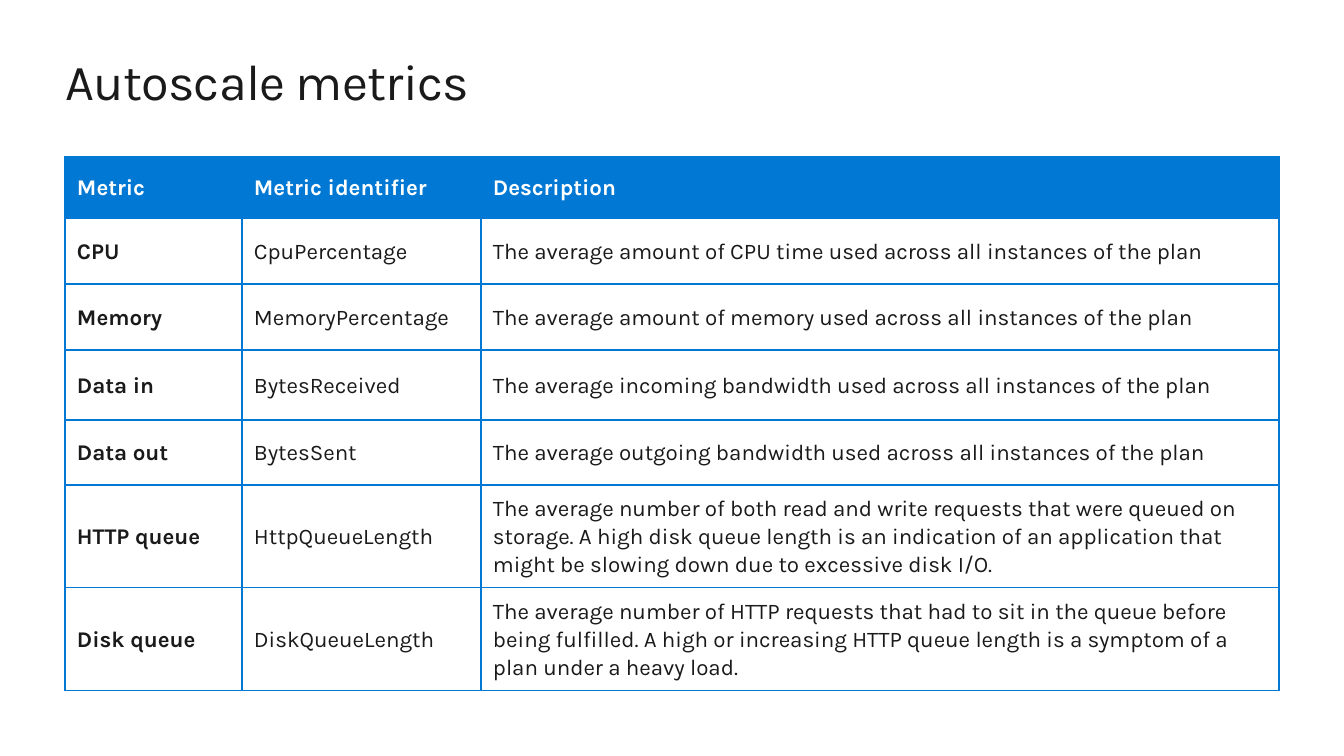
from dataclasses import dataclass

from lxml import etree
from pptx import Presentation
from pptx.dml.color import RGBColor
from pptx.enum.text import MSO_ANCHOR
from pptx.oxml.ns import qn
from pptx.util import Pt

PX = 9071.43
MIDDLE = MSO_ANCHOR.MIDDLE
TOP = MSO_ANCHOR.TOP


@dataclass(frozen=True)
class Theme:
    font: str = "Karla"
    ink: str = "1A1A1A"
    blue: str = "0078D4"
    white: str = "FFFFFF"
    title: int = 36
    body: int = 16
    line: int = 1
    rule: int = 2
    lead: float = 1.07


def px(count):
    return round(count * PX)


def write(frame, text, font, size, color, bold=False, lead=None, track=None):
    para = frame.paragraphs[0]
    para.line_spacing = lead
    run = para.add_run()
    run.text = text
    run.font.name = font
    run.font.size = Pt(size)
    run.font.bold = bold
    run.font.color.rgb = RGBColor.from_string(color)
    if track is not None:
        run.font._element.set("spc", str(track))


class Deck:
    def __init__(self, theme):
        self.theme = theme
        self.show = Presentation()
        self.show.slide_width = px(1344)
        self.show.slide_height = px(756)
        self.slide = self.show.slides.add_slide(self.show.slide_layouts[6])

    def title(self, text, left, top, width, height):
        box = self.slide.shapes.add_textbox(px(left), px(top), px(width), px(height))
        frame = box.text_frame
        frame.word_wrap = True
        frame.vertical_anchor = TOP
        frame.margin_left = frame.margin_right = 0
        frame.margin_top = frame.margin_bottom = 0
        write(frame, text, self.theme.font, self.theme.title, self.theme.ink, track=-50)

    def border(self, cell, sides):
        props = cell._tc.get_or_add_tcPr()
        for side, width in sides.items():
            line = etree.SubElement(props, qn(f"a:ln{side}"), w=str(Pt(width)))
            fill = etree.SubElement(line, qn("a:solidFill"))
            etree.SubElement(fill, qn("a:srgbClr"), val=self.theme.blue)

    def cell(self, cell, text, row, col):
        theme = self.theme
        head = row == 0
        cell.vertical_anchor = MIDDLE
        cell.margin_left = cell.margin_right = px(12)
        cell.margin_top = cell.margin_bottom = px(8)
        self.border(cell, {
            "L": theme.line,
            "R": theme.line,
            "T": theme.rule if row == 1 else theme.line,
            "B": theme.rule if head else theme.line,
        })
        if head:
            cell.fill.solid()
            cell.fill.fore_color.rgb = RGBColor.from_string(theme.blue)
        else:
            cell.fill.background()
        write(cell.text_frame, text, theme.font, theme.body,
              theme.white if head else theme.ink,
              bold=head or col == 0, lead=theme.lead)

    def table(self, data, left, top, widths, heights):
        table = self.slide.shapes.add_table(
            len(heights), len(widths), px(left), px(top),
            px(sum(widths)), px(sum(heights))).table
        table.horz_banding = False
        for col, width in zip(table.columns, widths):
            col.width = px(width)
        for row, height in zip(table.rows, heights):
            row.height = px(height)
        for row, texts in enumerate(data):
            for col, text in enumerate(texts):
                self.cell(table.cell(row, col), text, row, col)


METRICS = [
    ("Metric", "Metric identifier", "Description"),
    ("CPU", "CpuPercentage",
     "The average amount of CPU time used across all instances of the plan"),
    ("Memory", "MemoryPercentage",
     "The average amount of memory used across all instances of the plan"),
    ("Data in", "BytesReceived",
     "The average incoming bandwidth used across all instances of the plan"),
    ("Data out", "BytesSent",
     "The average outgoing bandwidth used across all instances of the plan"),
    ("HTTP queue", "HttpQueueLength",
     "The average number of both read and write requests that were queued on "
     "storage. A high disk queue length is an indication of an application that "
     "might be slowing down due to excessive disk I/O."),
    ("Disk queue", "DiskQueueLength",
     "The average number of HTTP requests that had to sit in the queue before "
     "being fulfilled. A high or increasing HTTP queue length is a symptom of a "
     "plan under a heavy load."),
]


def main():
    deck = Deck(Theme())
    deck.title("Autoscale metrics", 65, 50, 1214, 61)
    deck.table(METRICS, 65, 157, [177, 239, 798], [61, 66, 66, 70, 65, 103, 103])
    deck.show.save("out.pptx")


if __name__ == "__main__":
    main()
